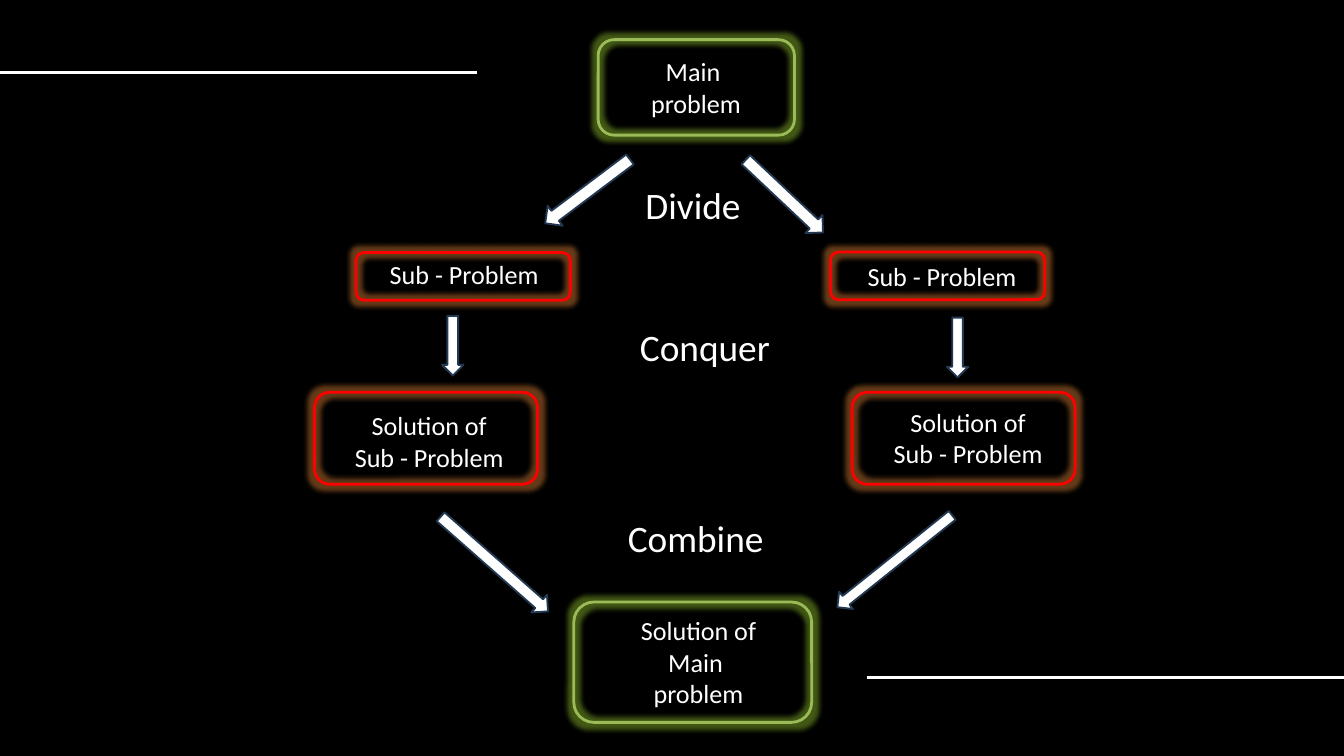
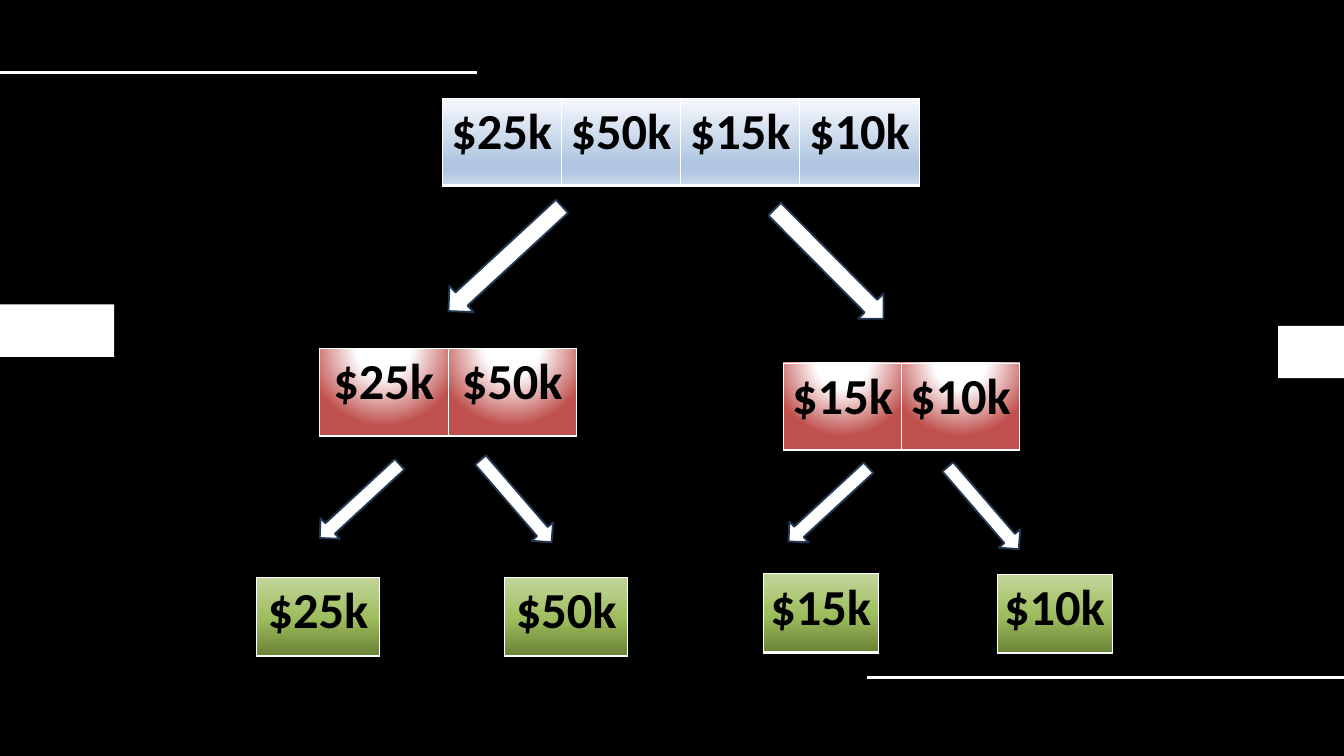
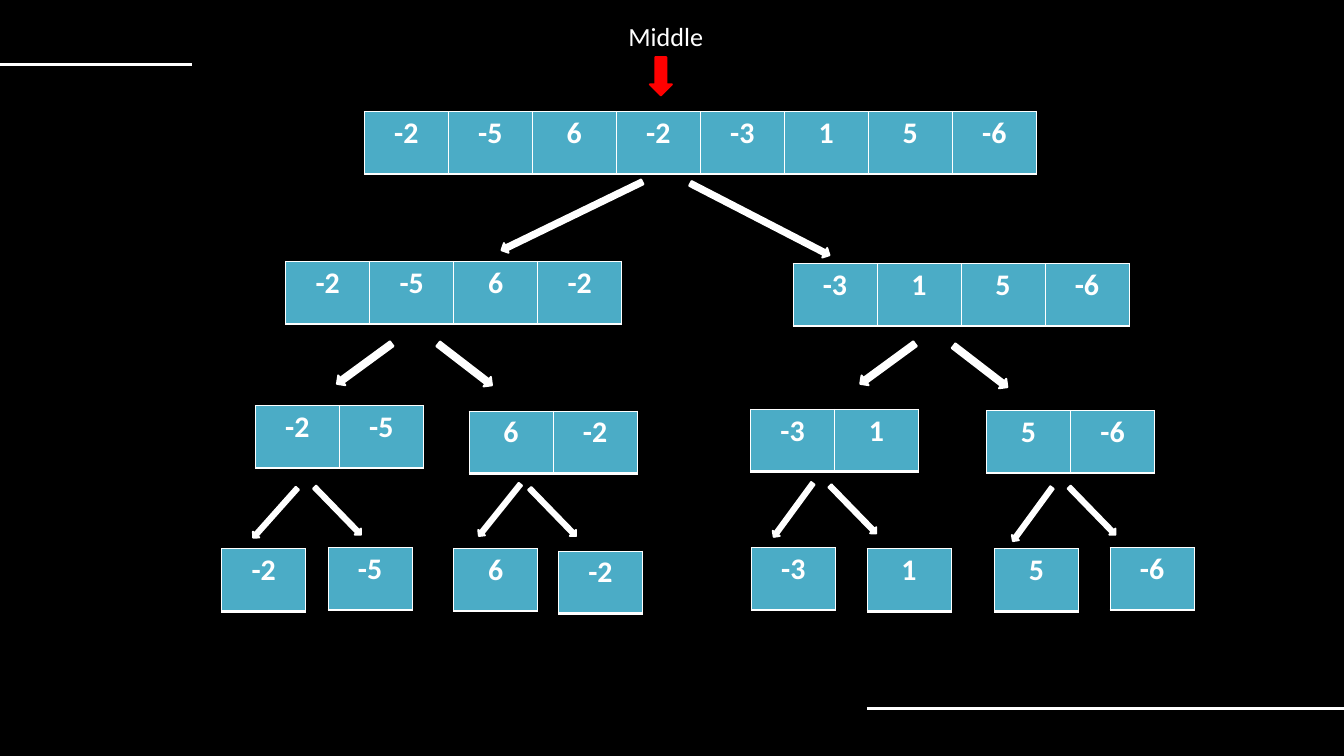
"""Build three slides that explain divide and conquer."""
from lxml import etree
from pptx import Presentation
from pptx.dml.color import RGBColor
from pptx.enum.shapes import MSO_CONNECTOR, MSO_SHAPE
from pptx.enum.text import MSO_AUTO_SIZE, PP_ALIGN
from pptx.oxml.ns import qn
from pptx.util import Cm, Pt

STRAIGHT = MSO_CONNECTOR.STRAIGHT
RECTANGLE = MSO_SHAPE.RECTANGLE
ROUNDED = MSO_SHAPE.ROUNDED_RECTANGLE
DOWN_ARROW = MSO_SHAPE.DOWN_ARROW
UP_ARROW = MSO_SHAPE.UP_ARROW
FIT_SHAPE = MSO_AUTO_SIZE.SHAPE_TO_FIT_TEXT
LEFT = PP_ALIGN.LEFT
CENTER = PP_ALIGN.CENTER

BLACK = RGBColor(0x00, 0x00, 0x00)
WHITE = RGBColor(0xFF, 0xFF, 0xFF)
RED = RGBColor(0xFF, 0x00, 0x00)
NAVY = RGBColor(0x23, 0x39, 0x53)
GREEN = RGBColor(0x9B, 0xBB, 0x59)
TEAL = RGBColor(0x4B, 0xAC, 0xC6)
GREEN_GLOW = RGBColor(0xA8, 0xDF, 0x34)
ORANGE_GLOW = RGBColor(0xFF, 0x95, 0x3E)
BRICK = RGBColor(0xC0, 0x50, 0x4D)
PALE_BLUE = RGBColor(0xF6, 0xF9, 0xFC)
MID_BLUE = RGBColor(0xB0, 0xC6, 0xE1)
SOFT_BLUE = RGBColor(0xCA, 0xD9, 0xEB)
DARK_GREEN = RGBColor(0x6A, 0x83, 0x36)
MID_GREEN = RGBColor(0x9E, 0xBD, 0x5E)
PALE_GREEN = RGBColor(0xC3, 0xD6, 0x9B)

FONT = "Calibri"
BLANK_LAYOUT = 6
SLIDE_WIDTH = 50.8
BLUE_FADE = ([(0, PALE_BLUE), (74, MID_BLUE), (83, MID_BLUE), (100, SOFT_BLUE)], 90)
RED_SPOT = ([(0, WHITE), (35, WHITE), (100, BRICK)], None)
GREEN_FADE = ([(0, DARK_GREEN), (48, MID_GREEN), (100, PALE_GREEN)], 270)


def add_xml(parent, tag, **attributes):
    """Append a DrawingML element and return it."""
    values = {name: str(value) for name, value in attributes.items()}
    return etree.SubElement(parent, qn(f"a:{tag}"), values)


def add_color(parent, color):
    """Append an RGB colour element and return it."""
    return add_xml(parent, "srgbClr", val=color)


def add_rule(page, start, end, top):
    """Draw a white horizontal rule."""
    rule = page.shapes.add_connector(STRAIGHT, Cm(start), Cm(top), Cm(end), Cm(top))
    rule.line.color.rgb = WHITE
    rule.line.width = Pt(3)
    add_xml(rule._element.spPr, "effectLst")


def add_page(deck, upper_end=18.03, upper_top=2.74, lower_top=25.6):
    """Add a black slide with a rule at the upper left and lower right."""
    page = deck.slides.add_slide(deck.slide_layouts[BLANK_LAYOUT])
    page.background.fill.solid()
    page.background.fill.fore_color.rgb = BLACK
    add_rule(page, 0, upper_end, upper_top)
    add_rule(page, 32.77, SLIDE_WIDTH, lower_top)
    return page


def write(para, text, size, color, align=CENTER, bold=False):
    """Write one formatted run into a paragraph."""
    para.alignment = align
    span = para.add_run()
    span.text = text
    span.font.name = FONT
    span.font.size = Pt(size)
    span.font.bold = bold
    span.font.color.rgb = color


def add_text(page, place, lines, size=28, align=CENTER):
    """Add a white text box with one paragraph for each line."""
    frame = page.shapes.add_textbox(*map(Cm, place)).text_frame
    frame.word_wrap = True
    frame.auto_size = FIT_SHAPE
    for index, line in enumerate(lines):
        para = frame.add_paragraph() if index else frame.paragraphs[0]
        write(para, line, size, WHITE, align)


def add_glow_box(page, place, color, glow_color):
    """Add an unfilled rounded box with a glowing outline."""
    box = page.shapes.add_shape(ROUNDED, *map(Cm, place))
    box.fill.background()
    box.line.color.rgb = color
    box.line.width = Pt(3)
    box.shadow.inherit = False
    effects = box._element.spPr.find(qn("a:effectLst"))
    glow = add_xml(effects, "glow", rad=Pt(11))
    add_xml(add_color(glow, glow_color), "alpha", val=40000)


def add_arrows(page, size, spots, kind=DOWN_ARROW, fill=WHITE, edge=NAVY):
    """Add block arrows of one size at (left, top, rotation) spots."""
    for left, top, rotation in spots:
        arrow = page.shapes.add_shape(kind, *map(Cm, (left, top, *size)))
        arrow.rotation = rotation
        arrow.fill.solid()
        arrow.fill.fore_color.rgb = fill
        arrow.line.color.rgb = edge
        arrow.line.width = Pt(2)
        arrow.shadow.inherit = False


def add_band(page, left, top, width):
    """Add a plain white band at the slide's edge."""
    band = page.shapes.add_shape(RECTANGLE, Cm(left), Cm(top), Cm(width), Cm(1.98))
    band.fill.solid()
    band.fill.fore_color.rgb = WHITE
    band.line.fill.background()
    band.shadow.inherit = False


def add_borders(cell):
    """Give a cell thin white borders and a thick lower one."""
    properties = cell._tc.get_or_add_tcPr()
    for side, width in (("L", 1), ("R", 1), ("T", 1), ("B", 3)):
        border = add_xml(properties, f"ln{side}", w=Pt(width))
        add_color(add_xml(border, "solidFill"), WHITE)


def fill_gradient(cell, stops, angle):
    """Fill a cell linearly, or from a circle above it when angle is None."""
    gradient = add_xml(cell._tc.get_or_add_tcPr(), "gradFill", rotWithShape=1)
    stop_list = add_xml(gradient, "gsLst")
    for position, color in stops:
        add_color(add_xml(stop_list, "gs", pos=position * 1000), color)
    if angle is None:
        circle = add_xml(gradient, "path", path="circle")
        add_xml(circle, "fillToRect", l=50000, t=-80000, r=50000, b=180000)
    else:
        add_xml(gradient, "lin", ang=angle * 60000, scaled=0)


def add_array(page, place, values, size, color, fill):
    """Add a one-row table with a solid or gradient fill."""
    table = page.shapes.add_table(1, len(values), *map(Cm, place)).table
    for cell, value in zip(table.rows[0].cells, values):
        add_borders(cell)
        if isinstance(fill, RGBColor):
            cell.fill.solid()
            cell.fill.fore_color.rgb = fill
        else:
            fill_gradient(cell, *fill)
        write(cell.text_frame.paragraphs[0], value, size, color, bold=True)


def add_level(page, values, spots, height, size, color, fill):
    """Share the values equally among arrays at (left, top, width) spots."""
    count = len(values) // len(spots)
    for index, spot in enumerate(spots):
        part = values[index * count:(index + 1) * count]
        add_array(page, (*spot, height), part, size, color, fill)


def build_strategy(deck):
    """Show the divide, conquer and combine steps."""
    page = add_page(deck)
    for place in ((22.61, 1.5, 7.42, 3.61), (21.69, 22.76, 8.99, 4.55)):
        add_glow_box(page, place, GREEN, GREEN_GLOW)
    for place in ((13.46, 9.55, 8.1, 1.8), (31.39, 9.53, 8.1, 1.8),
                  (11.89, 14.83, 8.43, 3.48), (32.21, 14.83, 8.43, 3.48)):
        add_glow_box(page, place, RED, ORANGE_GLOW)

    add_text(page, (23.55, 1.98, 5.51, 2.64), ["Main ", "problem"])
    for left, top in ((13.92, 9.63), (31.98, 9.7)):
        add_text(page, (left, top, 7.24, 1.45), ["Sub - Problem"])
    for left, top in ((12.6, 15.37), (32.97, 15.24)):
        add_text(page, (left, top, 7.24, 2.64), ["Solution of", "Sub - Problem"])
    add_text(page, (23.06, 23.11, 6.68, 3.84), ["Solution of", "Main ", "problem"])

    add_arrows(page, (0.94, 4.01), [(21.74, 5.23, 53), (29.18, 5.41, 313.3)])
    add_arrows(page, (0.81, 2.26), [(16.71, 11.94, 0), (35.79, 12.01, 0)])
    add_arrows(page, (0.89, 5.41), [(18.24, 18.62, 311.4)])
    add_arrows(page, (0.84, 5.56), [(33.4, 18.44, 51.3)])

    for step, left, top, width in (("Divide", 23.44, 6.78, 5.51),
                                   ("Conquer", 23.24, 12.12, 6.81),
                                   ("Combine", 22.89, 19.35, 6.81)):
        add_text(page, (left, top, width, 1.96), [step], size=40)


def build_amounts(deck):
    """Split four amounts into single ones."""
    page = add_page(deck)
    add_band(page, 0, 11.51, 4.32)
    add_band(page, 48.31, 12.32, 2.49)
    amounts = ["$25k", "$50k", "$15k", "$10k"]
    levels = (
        ([(16.71, 3.71, 18.03)], 3.3, BLUE_FADE),
        ([(12.07, 13.18, 9.73), (29.62, 13.72, 8.92)], 3.3, RED_SPOT),
        ([(9.7, 21.82, 4.65), (19.08, 21.82, 4.65),
          (28.85, 21.69, 4.34), (37.69, 21.72, 4.34)], 2.97, GREEN_FADE),
    )
    for spots, height, fill in levels:
        add_level(page, amounts, spots, height, 54, BLACK, fill)
    add_arrows(page, (1.35, 5.84), [(18.42, 6.86, 227.3), (30.66, 7.06, 135.2)], UP_ARROW)
    add_arrows(page, (1.07, 4.11), [(13.06, 16.89, 227.3), (18.97, 16.89, 139.2),
                                    (30.78, 17.02, 227.3), (36.63, 17.15, 139.2)], UP_ARROW)


def build_numbers(deck):
    """Halve eight numbers around the middle until each stands alone."""
    page = add_page(deck, upper_end=7.24, upper_top=2.44, lower_top=26.77)
    numbers = ["-2", "-5", "6", "-2", "-3", "1", "5", "-6"]
    levels = (
        [(13.77, 4.22)],
        [(10.8, 9.88), (29.97, 9.96)],
        [(9.65, 15.34), (17.73, 15.54), (28.37, 15.47), (37.29, 15.52)],
        [(8.38, 20.75), (12.4, 20.7), (17.15, 20.73), (21.11, 20.83),
         (28.4, 20.7), (32.77, 20.75), (37.59, 20.75), (41.96, 20.7)],
    )
    for corners in levels:
        width = 25.4 / len(corners)
        spots = [(left, top, width) for left, top in corners]
        add_level(page, numbers, spots, 2.36, 32, WHITE, TEAL)

    add_text(page, (23.5, 0.64, 3.81, 1.45), ["Middle"], align=LEFT)
    add_arrows(page, (0.84, 1.45), [(24.56, 2.16, 0)], fill=RED, edge=RED)
    arrow_levels = (
        ((0.41, 5.92), [(21.41, 5.21, 64.1), (28.52, 5.33, 297.3)]),
        ((0.46, 2.57), [(13.54, 12.47, 53.8), (17.35, 12.5, 307.6),
                        (33.32, 12.47, 53.8), (36.83, 12.57, 307.6)]),
        ((0.33, 2.51), [(10.24, 18.14, 41.7), (12.6, 18.06, 315.8),
                        (18.72, 18.03, 38.7), (20.73, 18.11, 315.8),
                        (29.82, 18.03, 36.2), (32.08, 18.01, 315.8),
                        (38.86, 18.19, 36.2), (41.12, 18.06, 315.8)]),
    )
    for size, spots in arrow_levels:
        add_arrows(page, size, spots, edge=WHITE)


def main():
    """Build and save the deck."""
    deck = Presentation()
    deck.slide_width = Cm(SLIDE_WIDTH)
    deck.slide_height = Cm(28.58)
    build_strategy(deck)
    build_amounts(deck)
    build_numbers(deck)
    deck.save("out.pptx")


if __name__ == "__main__":
    main()
